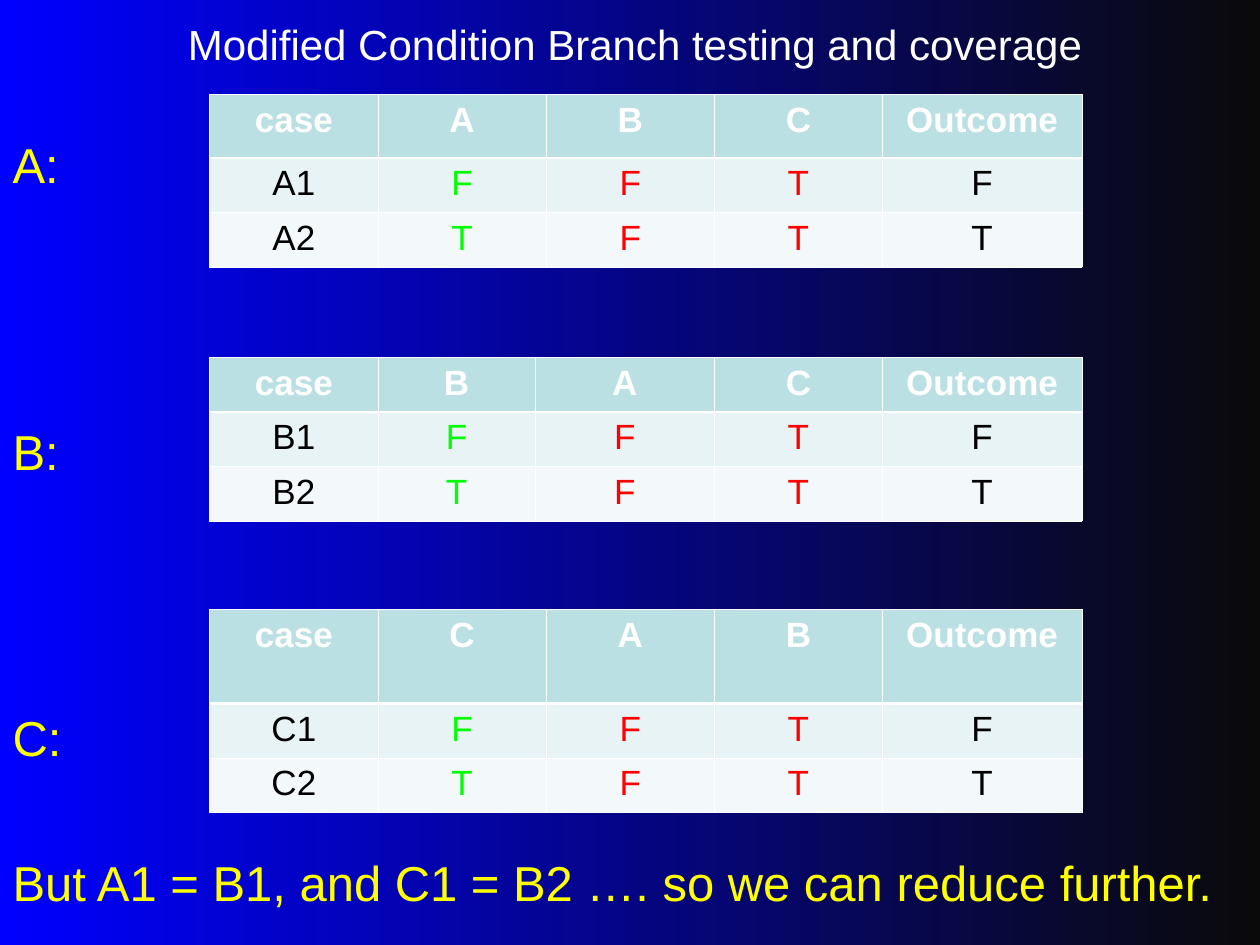
from dataclasses import dataclass

from pptx import Presentation
from pptx.dml.color import RGBColor
from pptx.enum.text import MSO_ANCHOR, MSO_AUTO_SIZE, PP_ALIGN
from pptx.oxml.ns import qn
from pptx.util import Cm, Pt
from lxml import etree

CENTER, LEFT = PP_ALIGN.CENTER, PP_ALIGN.LEFT
TOP, MIDDLE = MSO_ANCHOR.TOP, MSO_ANCHOR.MIDDLE
NO_AUTOFIT = MSO_AUTO_SIZE.NONE


@dataclass(frozen=True)
class Theme:
    font: str = "Arial"
    title_size: float = 24
    body_size: float = 28
    table_size: float = 20
    gradient: tuple = ("0000FF", "0A0A0A")
    white: str = "FFFFFF"
    label: str = "FFFF00"
    text: str = "000000"
    tested: str = "00FF00"
    fixed: str = "FF0000"
    row_fills: tuple = ("BBE0E3", "E7F3F4", "F3F9FA")
    thin: float = 0.45
    thick: float = 1.47


THEME = Theme()
LINE_HEIGHT = 32.2  # one line of body text, in points
LINE_PITCH = 40.6   # the same with its paragraph spacing

TITLE = "Modified Condition Branch testing and coverage"
# Text and the number of lines it lies below the text before it
BODY = [
    ("A:", 0),
    ("B:", 4),
    ("C:", 4),
    ("But A1 = B1, and C1 = B2 …. so we can reduce further.", 2),
]

TABLE_LEFT = 4.23
ROW_HEIGHT = 1.1
EVEN_COLUMNS = (3.39, 3.39, 3.39, 3.39, 4.02)
SHIFTED_COLUMNS = (3.39, 3.17, 3.61, 3.39, 4.02)
# Conditions (the tested one first), top, header height, column widths
CASE_TABLES = [
    ("ABC", 1.91, 1.27, EVEN_COLUMNS),
    ("BAC", 7.2, ROW_HEIGHT, SHIFTED_COLUMNS),
    ("CAB", 12.28, 1.9, EVEN_COLUMNS),
]


def fill_gradient(fill):
    fill.gradient()
    fill.gradient_angle = 0
    for stop, color in zip(fill.gradient_stops, THEME.gradient):
        stop.color.rgb = RGBColor.from_string(color)


def format_runs(paragraph, size, color, bold=False):
    for run in paragraph.runs:
        run.font.name = THEME.font
        run.font.size = Pt(size)
        run.font.bold = bold
        run.font.color.rgb = RGBColor.from_string(color)


def place(placeholder, left, top, width, height):
    placeholder.left, placeholder.top = Cm(left), Cm(top)
    placeholder.width, placeholder.height = Cm(width), Cm(height)


def write_title(title):
    place(title, 0.2, 0, 25.2, 1.75)
    frame = title.text_frame
    frame.text = TITLE
    frame.auto_size = NO_AUTOFIT
    frame.vertical_anchor = MIDDLE
    frame.paragraphs[0].alignment = CENTER
    format_runs(frame.paragraphs[0], THEME.title_size, THEME.white)


def write_body(body):
    place(body, 0, 1.06, 25.4, 19.48)
    fill_gradient(body.fill)
    frame = body.text_frame
    frame.text = "\n".join(text for text, _ in BODY)
    frame.auto_size = NO_AUTOFIT
    frame.vertical_anchor = TOP
    frame.margin_top = Cm(1.65)
    for paragraph, (_, lines_below) in zip(frame.paragraphs, BODY):
        properties = paragraph._p.get_or_add_pPr()
        properties.set("marL", "0")
        properties.set("indent", "0")
        etree.SubElement(properties, qn("a:buNone"))
        paragraph.alignment = LEFT
        gap = lines_below * LINE_PITCH - LINE_HEIGHT if lines_below else 0
        paragraph.space_before = Pt(gap)
        format_runs(paragraph, THEME.body_size, THEME.label)


def add_borders(cell, row):
    """Draw thin white borders, thick between the header and the first case."""
    widths = {
        "L": THEME.thin,
        "R": THEME.thin,
        "T": THEME.thick if row == 1 else THEME.thin,
        "B": THEME.thick if row == 0 else THEME.thin,
    }
    properties = cell._tc.get_or_add_tcPr()
    for side, width in widths.items():
        line = etree.SubElement(properties, qn(f"a:ln{side}"), w=str(Pt(width)))
        solid = etree.SubElement(line, qn("a:solidFill"))
        etree.SubElement(solid, qn("a:srgbClr"), val=THEME.white)


def write_cell(cell, text, row, color):
    add_borders(cell, row)
    cell.fill.solid()
    cell.fill.fore_color.rgb = RGBColor.from_string(THEME.row_fills[row])
    cell.text_frame.text = text
    paragraph = cell.text_frame.paragraphs[0]
    paragraph.alignment = CENTER
    format_runs(paragraph, THEME.table_size, color, bold=row == 0)


def add_case_table(slide, conditions, top, header_height, widths):
    tested = conditions[0]
    rows = [
        ["case", *conditions, "Outcome"],
        [f"{tested}1", "F", "F", "T", "F"],
        [f"{tested}2", "T", "F", "T", "T"],
    ]
    case_colors = (THEME.text, THEME.tested, THEME.fixed, THEME.fixed, THEME.text)
    heights = (header_height, ROW_HEIGHT, ROW_HEIGHT)
    table = slide.shapes.add_table(
        len(rows), len(widths), Cm(TABLE_LEFT), Cm(top),
        Cm(sum(widths)), Cm(sum(heights))).table
    for column, width in zip(table.columns, widths):
        column.width = Cm(width)
    for r, (values, height) in enumerate(zip(rows, heights)):
        table.rows[r].height = Cm(height)
        for c, value in enumerate(values):
            color = case_colors[c] if r else THEME.white
            write_cell(table.cell(r, c), value, r, color)


def main():
    prs = Presentation()
    prs.slide_width, prs.slide_height = Cm(25.4), Cm(19.05)
    slide = prs.slides.add_slide(prs.slide_layouts[1])
    fill_gradient(slide.background.fill)
    title, body = slide.placeholders
    write_title(title)
    write_body(body)
    body._element.addnext(title._element)  # the filled body lies behind the title
    for case_table in CASE_TABLES:
        add_case_table(slide, *case_table)
    prs.save("out.pptx")


if __name__ == "__main__":
    main()
